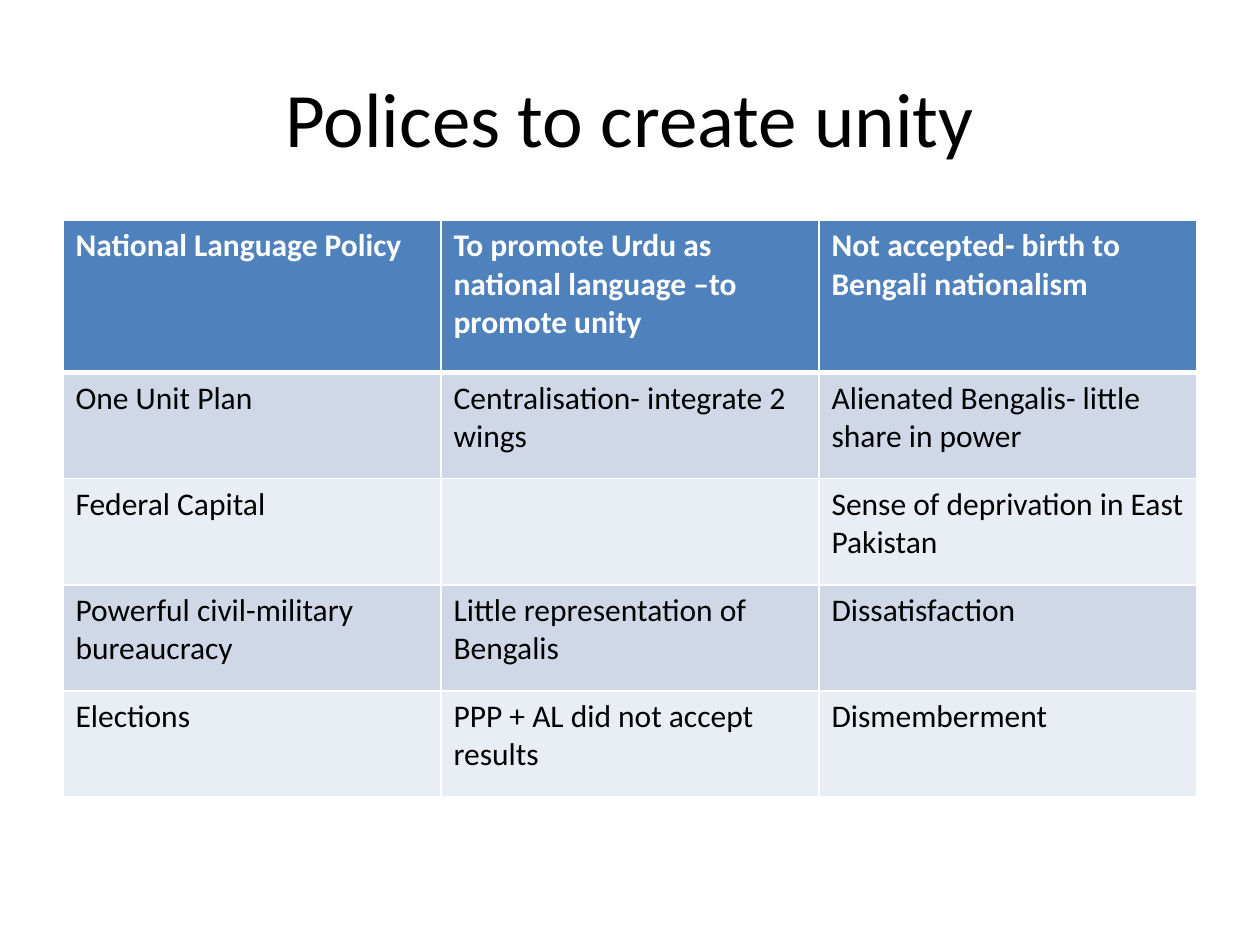
from typing import NamedTuple

from lxml import etree
from pptx import Presentation
from pptx import util as u
from pptx.dml import color
from pptx.enum import text
from pptx.oxml import ns

HUES = {
    "head": "4F81BD",
    "dark": "D0D8E8",
    "light": "E9EDF4",
    "white": "FFFFFF",
    "black": "000000",
}
FONT = "Calibri"


class Look(NamedTuple):
    fill: str
    ink: str
    bold: bool
    base: int  # bottom border width


class Row(NamedTuple):
    policy: str
    aim: str
    result: str


HEAD = Look("head", "white", True, 3)
BANDS = (Look("dark", "black", False, 1), Look("light", "black", False, 1))

ROWS = [
    Row("National Language Policy",
        "To promote Urdu as national language –to promote unity",
        "Not accepted- birth to Bengali nationalism"),
    Row("One Unit Plan", "Centralisation- integrate 2 wings",
        "Alienated Bengalis- little share in power"),
    Row("Federal Capital", "", "Sense of deprivation in East Pakistan"),
    Row("Powerful civil-military bureaucracy",
        "Little representation of Bengalis", "Dissatisfaction"),
    Row("Elections", "PPP + AL did not accept results", "Dismemberment"),
]


def hue(name: str) -> color.RGBColor:
    return color.RGBColor.from_string(HUES[name])


def style(par, size: int, ink: str, bold: bool = False) -> None:
    for run in par.runs:
        run.font.name = FONT
        run.font.size = u.Pt(size)
        run.font.bold = bold
        run.font.color.rgb = hue(ink)


def edge(cell, side: str, width: int) -> None:
    props = cell._tc.get_or_add_tcPr()
    line = etree.SubElement(props, ns.qn(f"a:ln{side}"), w=str(u.Pt(width)))
    fill = etree.SubElement(line, ns.qn("a:solidFill"))
    etree.SubElement(fill, ns.qn("a:srgbClr"), val=HUES["white"])


def draw_cell(cell, words: str, look: Look, top: int) -> None:
    # Borders come before the fill in the cell properties
    for side, width in zip("LRTB", (1, 1, top, look.base)):
        edge(cell, side, width)
    cell.fill.solid()
    cell.fill.fore_color.rgb = hue(look.fill)
    cell.text_frame.text = words
    par = cell.text_frame.paragraphs[0]
    if words:
        style(par, 18, look.ink, look.bold)
    else:
        par.font.size = u.Pt(18)


def draw_title(slide, words: str) -> None:
    box = slide.shapes.add_textbox(u.Pt(36), u.Pt(21.6), u.Pt(648), u.Pt(90))
    frame = box.text_frame
    frame.word_wrap = True
    frame.vertical_anchor = text.MSO_ANCHOR.MIDDLE
    frame.text = words
    par = frame.paragraphs[0]
    par.alignment = text.PP_ALIGN.CENTER
    style(par, 44, "black")


def draw_table(slide, rows: list[Row]) -> None:
    tall, short = 87, 60.6
    high = tall + short * (len(rows) - 1)
    table = slide.shapes.add_table(
        len(rows), len(Row._fields),
        u.Pt(36), u.Pt(126), u.Pt(648), u.Pt(high)).table
    for col in table.columns:
        col.width = u.Pt(216)
    top = 1
    for i, row in enumerate(rows):
        look = BANDS[(i - 1) % 2] if i else HEAD
        table.rows[i].height = u.Pt(short if i else tall)
        for j, words in enumerate(row):
            draw_cell(table.cell(i, j), words, look, top)
        top = look.base


def main() -> None:
    deck = Presentation()
    deck.slide_width, deck.slide_height = u.Pt(720), u.Pt(540)
    slide = deck.slides.add_slide(deck.slide_layouts[6])
    draw_title(slide, "Polices to create unity")
    draw_table(slide, ROWS)
    deck.save("out.pptx")


if __name__ == "__main__":
    main()
